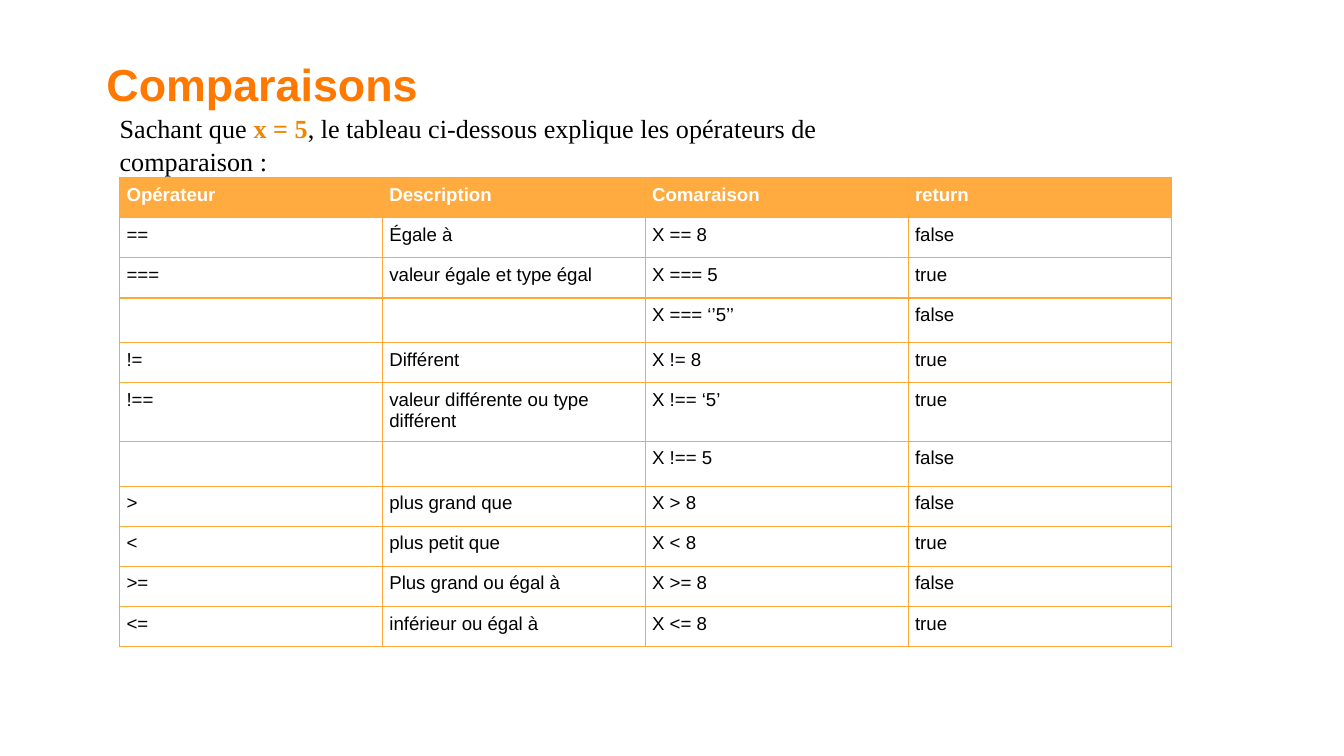
import lxml.etree
import pptx
import pptx.dml.color
import pptx.enum.text
import pptx.oxml.ns
import pptx.util

Pt = pptx.util.Pt
RGBColor = pptx.dml.color.RGBColor
ORANGE = RGBColor(0xFF, 0x79, 0x00)
AMBER = RGBColor(0xEF, 0x86, 0x00)
HEADER_FILL = RGBColor(0xFF, 0xAB, 0x40)
BORDER = RGBColor(0xFE, 0xA8, 0x3A)
BLACK = RGBColor(0x00, 0x00, 0x00)
WHITE = RGBColor(0xFF, 0xFF, 0xFF)

INTRODUCTION = [
    ("Sachant que ", BLACK, False),
    ("x = 5", AMBER, True),
    (", le tableau ci-dessous explique les opérateurs de comparaison :", BLACK, False),
]
ROW_HEIGHT = 21.5
EMPTY_ROW_HEIGHT = 24
TWO_LINE_ROW_HEIGHT = 31.4
ROWS = [
    (ROW_HEIGHT, "Opérateur", "Description", "Comaraison", "return"),
    (ROW_HEIGHT, "==", "Égale à", "X == 8", "false"),
    (ROW_HEIGHT, "===", "valeur égale et type égal", "X === 5", "true"),
    (EMPTY_ROW_HEIGHT, "", "", "X === ‘’5’’", "false"),
    (ROW_HEIGHT, "!=", "Différent", "X != 8", "true"),
    (TWO_LINE_ROW_HEIGHT, "!==", "valeur différente ou type différent", "X !== ‘5’", "true"),
    (EMPTY_ROW_HEIGHT, "", "", "X !== 5", "false"),
    (ROW_HEIGHT, ">", "plus grand que", "X > 8", "false"),
    (ROW_HEIGHT, "<", "plus petit que", "X < 8", "true"),
    (ROW_HEIGHT, ">=", "Plus grand ou égal à", "X >= 8", "false"),
    (ROW_HEIGHT, "<=", "inférieur ou égal à", "X <= 8", "true"),
]


def add_element(parent, tag, **attributes):
    """Append a DrawingML element to a parent."""
    return lxml.etree.SubElement(parent, pptx.oxml.ns.qn(tag), **attributes)


def format_run(run, font_name, size, color, bold):
    """Set the font of a run."""
    run.font.name = font_name
    run.font.size = Pt(size)
    run.font.color.rgb = color
    run.font.bold = bold


def place_placeholder(shape, box, margin, anchor):
    """Move a placeholder to its box and set its text frame."""
    shape.left, shape.top, shape.width, shape.height = map(Pt, box)
    frame = shape.text_frame
    frame.margin_left = frame.margin_right = Pt(margin)
    frame.margin_top = frame.margin_bottom = Pt(margin)
    frame.vertical_anchor = anchor
    frame.auto_size = pptx.enum.text.MSO_AUTO_SIZE.NONE
    frame.word_wrap = True
    return frame


def build_title(slide, box):
    """Write the slide title."""
    frame = place_placeholder(slide.shapes.title, box, 0, pptx.enum.text.MSO_ANCHOR.TOP)
    frame.text = "Comparaisons"
    paragraph = frame.paragraphs[0]
    paragraph.alignment = pptx.enum.text.PP_ALIGN.LEFT
    format_run(paragraph.runs[0], "Arial", 24, ORANGE, True)


def build_introduction(slide, box):
    """Write the sentence that introduces the table."""
    frame = place_placeholder(slide.placeholders[1], box, 3.6, pptx.enum.text.MSO_ANCHOR.MIDDLE)
    paragraph = frame.paragraphs[0]
    paragraph.line_spacing = 1.07
    paragraph.space_before = Pt(0)
    properties = paragraph._p.get_or_add_pPr()
    properties.set("marL", "0")
    properties.set("indent", "0")
    add_element(properties, "a:buNone")
    for text, color, bold in INTRODUCTION:
        run = paragraph.add_run()
        run.text = text
        format_run(run, "Times New Roman", 14, color, bold)


def draw_borders(cell):
    """Draw the four borders of a table cell."""
    properties = cell._tc.get_or_add_tcPr()
    for tag in ("a:lnL", "a:lnR", "a:lnT", "a:lnB"):
        line = add_element(properties, tag, w=str(Pt(0.75)))
        fill = add_element(line, "a:solidFill")
        add_element(fill, "a:srgbClr", val=str(BORDER))


def fill_cell(cell, text, is_header):
    """Write and format one table cell."""
    cell.margin_left = cell.margin_right = Pt(3.6)
    cell.margin_top = cell.margin_bottom = Pt(3.6)
    draw_borders(cell)
    if is_header:
        cell.fill.solid()
        cell.fill.fore_color.rgb = HEADER_FILL
    else:
        cell.fill.background()
    paragraph = cell.text_frame.paragraphs[0]
    paragraph.text = text
    for run in paragraph.runs:
        format_run(run, "Arial", 10, WHITE if is_header else BLACK, is_header)
    if not text:
        add_element(paragraph._p, "a:endParaRPr", sz="1000")


def build_table(slide, box):
    """Build the table of comparison operators."""
    column_count = len(ROWS[0]) - 1
    table = slide.shapes.add_table(len(ROWS), column_count, *map(Pt, box)).table
    table.horz_banding = False
    for column in table.columns:
        column.width = Pt(box[2] / column_count)
    for row_index, (height, *texts) in enumerate(ROWS):
        table.rows[row_index].height = Pt(height)
        for column_index, text in enumerate(texts):
            fill_cell(table.cell(row_index, column_index), text, row_index == 0)


def main():
    """Build and save the presentation."""
    presentation = pptx.Presentation()
    presentation.slide_width = Pt(720)
    presentation.slide_height = Pt(405)
    slide = presentation.slides.add_slide(presentation.slide_layouts[1])
    build_title(slide, (57, 30.5, 570, 28))
    build_introduction(slide, (60.5, 65.5, 460, 22.5))
    build_table(slide, (64.2, 95.2, 563.2, sum(row[0] for row in ROWS)))
    presentation.save("out.pptx")


if __name__ == "__main__":
    main()
